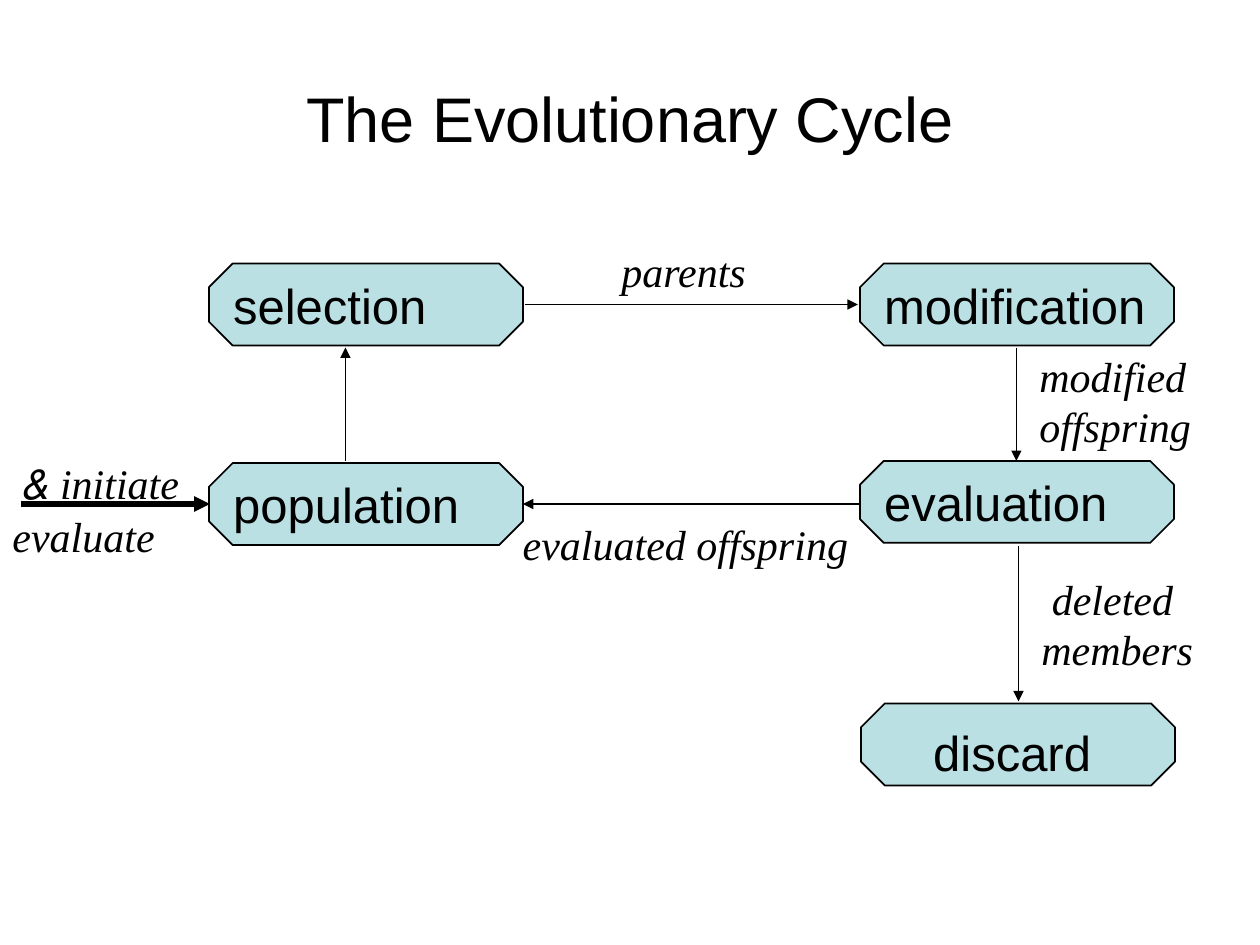
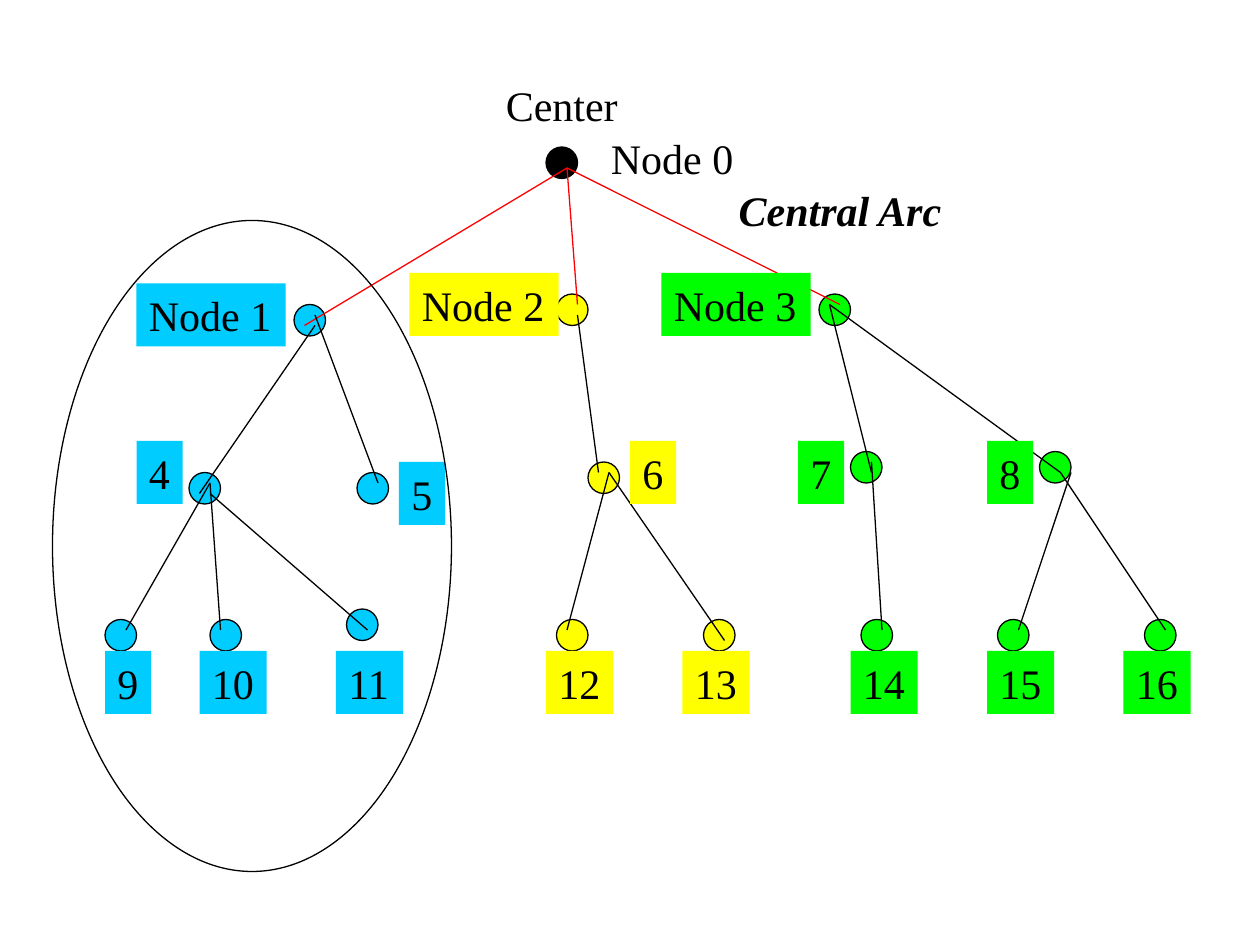
from dataclasses import dataclass

from pptx import Presentation
from pptx.dml.color import RGBColor
from pptx.enum.shapes import MSO_CONNECTOR, MSO_SHAPE
from pptx.enum.text import MSO_ANCHOR, MSO_AUTO_SIZE, PP_ALIGN
from pptx.oxml.ns import qn
from pptx.util import Inches, Pt

STRAIGHT = MSO_CONNECTOR.STRAIGHT
OCTAGON, OVAL, RECTANGLE = MSO_SHAPE.OCTAGON, MSO_SHAPE.OVAL, MSO_SHAPE.RECTANGLE
TOP, MIDDLE = MSO_ANCHOR.TOP, MSO_ANCHOR.MIDDLE
LEFT, CENTER = PP_ALIGN.LEFT, PP_ALIGN.CENTER
GROW, FIXED = MSO_AUTO_SIZE.SHAPE_TO_FIT_TEXT, MSO_AUTO_SIZE.NONE

COLORS = {"ink": "000000", "stage": "BBE0E3", "arc": "FF0000",
          "blue": "00CCFF", "yellow": "FFFF00", "green": "00FF00"}
SANS, SERIF = "Arial", "Times New Roman"
WIDTH, HEIGHT = 10, 7.5
COLUMNS, ROWS = 120, 90
TITLE_ONLY, BLANK = 5, 6


@dataclass
class Grid:
    """A box in inches, divided into columns and rows."""
    left: float
    top: float
    width: float
    height: float

    def x(self, column):
        return Inches(self.left + self.width * column / COLUMNS)

    def y(self, row):
        return Inches(self.top + self.height * row / ROWS)

    def place(self, column, row, columns, rows):
        left, top = self.x(column), self.y(row)
        return left, top, self.x(column + columns) - left, self.y(row + rows) - top


def rgb(name):
    return RGBColor.from_string(COLORS[name])


# Shared parts
def write(frame, lines, font=SERIF, size=24, italic=False, bold=False,
          align=LEFT, wrap=False, fit=GROW):
    frame.word_wrap = wrap
    frame.auto_size = fit
    for number, line in enumerate(lines):
        paragraph = frame.add_paragraph() if number else frame.paragraphs[0]
        paragraph.alignment = align
        run = paragraph.add_run()
        run.text = line
        run.font.name, run.font.size = font, Pt(size)
        run.font.italic, run.font.bold = italic, bold
        run.font.color.rgb = rgb("ink")


def add_text(slide, place, *lines, rtl=False, **style):
    frame = slide.shapes.add_textbox(*place).text_frame
    write(frame, lines, **style)
    if rtl:
        for paragraph in frame.paragraphs:
            paragraph._p.get_or_add_pPr().set("rtl", "1")


def add_figure(slide, kind, place, fill=None, outline=None):
    figure = slide.shapes.add_shape(kind, *place)
    figure.shadow.inherit = False
    if fill:
        figure.fill.solid()
        figure.fill.fore_color.rgb = rgb(fill)
    else:
        figure.fill.background()
    if outline:
        figure.line.color.rgb = rgb("ink")
        figure.line.width = Pt(outline)
    else:
        figure.line.fill.background()
    return figure


def add_line(slide, grid, ends, color="ink", weight=0.75, arrow=False):
    x1, y1, x2, y2 = ends
    line = slide.shapes.add_connector(STRAIGHT, grid.x(x1), grid.y(y1),
                                      grid.x(x2), grid.y(y2))
    line.line.color.rgb = rgb(color)
    line.line.width = Pt(weight)
    properties = line._element.spPr
    if arrow:
        outline = line.line._get_or_add_ln()
        tip = outline.makeelement(qn("a:tailEnd"), {"type": "triangle"})
        outline.append(tip)
    properties.append(properties.makeelement(qn("a:effectLst"), {}))


def add_title(slide, grid, text):
    title = slide.shapes.title
    title.left, title.top, title.width, title.height = grid.place(6, 7.8, 108, 6.7)
    title.text_frame.vertical_anchor = MIDDLE
    write(title.text_frame, [text], font=SANS, size=36, align=CENTER,
          wrap=True, fit=FIXED)


# Slide 1: the cycle
STAGES = [("selection", 19.9, 25.1), ("population", 19.9, 44.1),
          ("evaluation", 81.9, 43.9), ("modification", 81.9, 25.1),
          (None, 82, 67)]
FLOWS = [(50, 29, 81.7, 29), (32.9, 43.9, 32.9, 33.1), (97, 52, 97, 66.8),
         (82, 48, 49.8, 48), (96.8, 33.1, 96.8, 43.9)]
FLOW_LABELS = [((" deleted", "members"), (98, 54, 17.2, 10.8)),
               (("parents",), (58, 22.8, 14.6, 6)),
               (("modified", "offspring"), (97.8, 32.8, 17.2, 10.8)),
               (("evaluated offspring",), (48.6, 48.8, 33.6, 6))]


def draw_cycle(slide, grid):
    for name, column, row in STAGES:
        stage = add_figure(slide, OCTAGON, grid.place(column, row, 29.9, 7.8),
                           "stage", outline=1)
        stage.adjustments[0] = 0.29
        if name:
            stage.text_frame.vertical_anchor = MIDDLE
            write(stage.text_frame, [name], font=SANS, size=28, fit=FIXED)
    add_text(slide, grid.place(87.7, 68.2, 17.6, 6.7), "discard", font=SANS, size=28)

    for ends in FLOWS:
        add_line(slide, grid, ends, weight=1, arrow=True)
    for lines, place in FLOW_LABELS:
        add_text(slide, grid.place(*place), *lines, italic=True)

    # Entry into the cycle
    add_line(slide, grid, (2, 48, 20, 48), weight=3, arrow=True)
    add_text(slide, grid.place(0, 43, 19, 6), "initiate &", italic=True,
             align=CENTER, wrap=True, rtl=True)
    add_text(slide, grid.place(0, 48, 20, 6), "evaluate", italic=True,
             align=None, wrap=True, rtl=True)


# Slide 2: the tree, as (label, label column and row, dot column and row)
BRANCHES = {
    "blue": [("Node 1", 13, 27, 28, 29), ("4", 13, 42, 18, 45), ("5", 38, 44, 34, 45),
             ("9", 10, 62, 10, 59), ("10", 19, 62, 20, 59), ("11", 32, 62, 33, 58)],
    "yellow": [("Node 2", 39, 26, 53, 28), ("6", 60, 42, 56, 44),
               ("12", 52, 62, 53, 59), ("13", 65, 62, 67, 59)],
    "green": [("Node 3", 63, 26, 78, 28), ("7", 76, 42, 81, 43), ("8", 94, 42, 99, 43),
              ("14", 81, 62, 82, 59), ("15", 94, 62, 95, 59), ("16", 107, 62, 109, 59)],
}
LABEL_COLUMNS = {1: 4.4, 2: 6.4, 6: 14.2}  # by number of letters
CENTRAL_ARCS = [(54, 16, 29, 31), (54, 16, 55, 29), (54, 16, 80, 29)]
ARCS = [(30, 31, 19, 47), (30, 30, 36, 46),                        # from node 1
        (20, 46, 12, 60), (20, 46, 21, 60), (20, 47, 35, 60),      # from 4
        (55, 30, 57, 45), (58, 45, 54, 60), (58, 45, 69, 61),      # from 2 and 6
        (79, 29, 83, 45), (79, 29, 101, 45),                       # from node 3
        (83, 44, 84, 60), (102, 45, 97, 60), (101, 45, 111, 60)]   # from 7 and 8


def draw_tree(slide, grid):
    nodes = [(color, *node) for color, branch in BRANCHES.items() for node in branch]

    # Dots
    add_figure(slide, OVAL, grid.place(52, 14, 3, 3), "ink", outline=0.75)
    for color, _, _, _, column, row in nodes:
        add_figure(slide, OVAL, grid.place(column, row, 3, 3), color, outline=0.75)

    # Arcs
    for ends in CENTRAL_ARCS:
        add_line(slide, grid, ends, "arc")
    for ends in ARCS:
        add_line(slide, grid, ends)

    # Labels
    add_text(slide, grid.place(57, 12, LABEL_COLUMNS[6], 6), "Node 0")
    add_text(slide, grid.place(47, 7, 13.2, 6), "Center")
    for color, name, column, row, _, _ in nodes:
        place = grid.place(column, row, LABEL_COLUMNS[len(name)], 6)
        label = add_figure(slide, RECTANGLE, place, color)
        label.text_frame.vertical_anchor = TOP
        write(label.text_frame, [name])

    # Ring around the first branch
    add_figure(slide, OVAL, grid.place(5, 21, 38, 62), outline=0.75)
    add_text(slide, grid.place(67, 17, 26, 6), "Central Arc", bold=True,
             italic=True, align=CENTER, wrap=True)


def main():
    deck = Presentation()
    deck.slide_width, deck.slide_height = Inches(WIDTH), Inches(HEIGHT)
    page = Grid(0, 0, WIDTH, HEIGHT)

    cycle = deck.slides.add_slide(deck.slide_layouts[TITLE_ONLY])
    add_title(cycle, page, "The Evolutionary Cycle")
    draw_cycle(cycle, page)

    tree = deck.slides.add_slide(deck.slide_layouts[BLANK])
    draw_tree(tree, page)
    deck.save("out.pptx")


if __name__ == "__main__":
    main()
